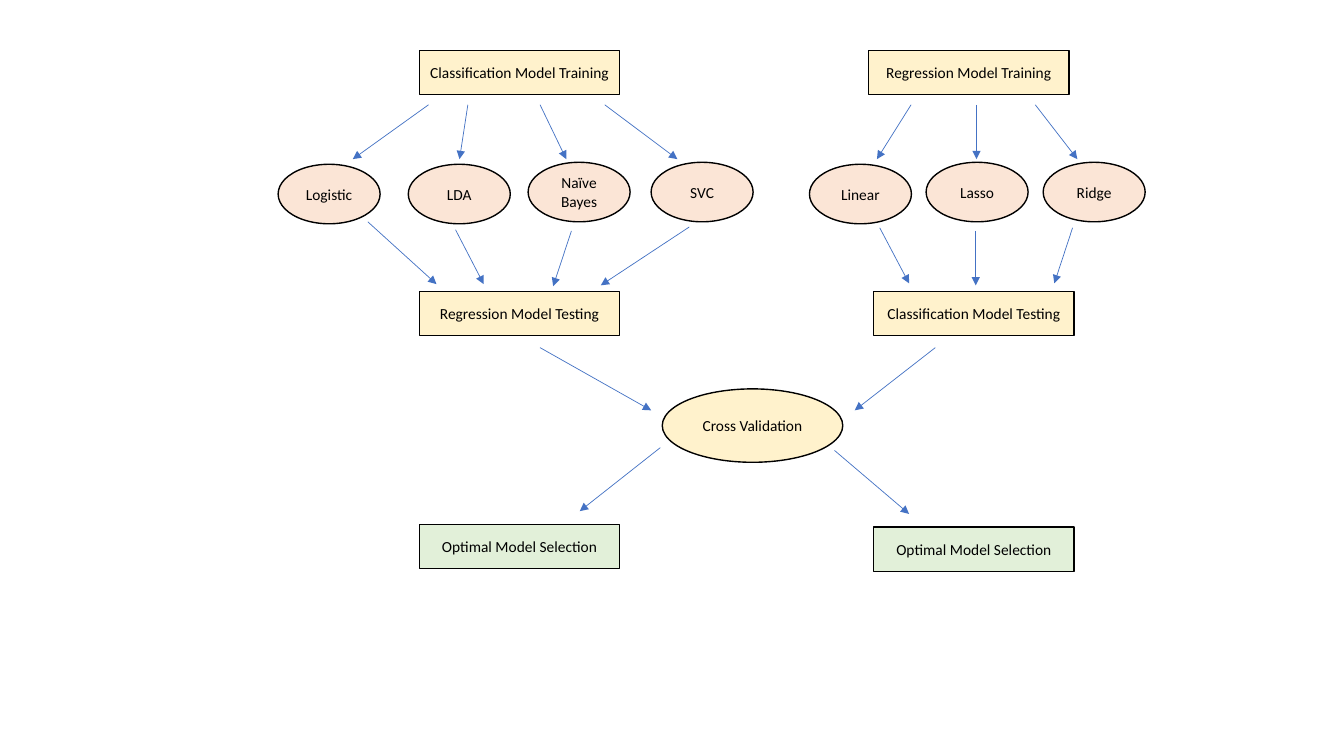
from lxml.etree import SubElement
from pptx import Presentation
from pptx.dml.color import RGBColor
from pptx.enum.shapes import MSO_CONNECTOR, MSO_SHAPE
from pptx.enum.text import MSO_ANCHOR, PP_ALIGN
from pptx.oxml.ns import qn
from pptx.util import Cm, Pt

CREAM, PEACH, GREEN = "FFF2CC", "FBE5D6", "E2F0D9"
BLACK, BLUE = "000000", "4472C4"


def color(hex_value):
    return RGBColor.from_string(hex_value)


class FlowSlide:
    """Holds the text style and the slide being drawn; lengths are in cm."""

    font_format = {"name": "Calibri", "size": Pt(11)}
    frame_format = {
        "word_wrap": True,
        "vertical_anchor": MSO_ANCHOR.MIDDLE,
        "margin_left": Cm(0.2),
        "margin_right": Cm(0.2),
    }

    def __init__(self, slide):
        self.shapes = slide.shapes

    def node(self, kind, text, fill, left, top, width, height):
        shape = self.shapes.add_shape(kind, Cm(left), Cm(top), Cm(width), Cm(height))
        shape.shadow.inherit = False
        shape.fill.solid()
        shape.fill.fore_color.rgb = color(fill)
        shape.line.color.rgb = color(BLACK)
        shape.line.width = Pt(1)
        frame = shape.text_frame
        for key, value in self.frame_format.items():
            setattr(frame, key, value)
        paragraph = frame.paragraphs[0]
        paragraph.alignment = PP_ALIGN.CENTER
        run = paragraph.add_run()
        run.text = text
        for key, value in self.font_format.items():
            setattr(run.font, key, value)
        run.font.color.rgb = color(BLACK)

    def step(self, text, fill, left, top):
        self.node(MSO_SHAPE.RECTANGLE, text, fill, left, top, 5.05, 1.12)

    def model(self, text, left, top):
        self.node(MSO_SHAPE.OVAL, text, PEACH, left, top, 2.57, 1.5)

    def arrow(self, start, end):
        ends = [Cm(length) for length in (*start, *end)]
        connector = self.shapes.add_connector(MSO_CONNECTOR.STRAIGHT, *ends)
        connector.line.color.rgb = color(BLUE)
        connector.line.width = Pt(0.5)
        SubElement(connector.line._get_or_add_ln(), qn("a:tailEnd"), type="triangle")
        SubElement(connector._element.spPr, qn("a:effectLst"))


def main():
    presentation = Presentation()
    presentation.slide_width = Cm(33.87)
    presentation.slide_height = Cm(19.05)
    flow = FlowSlide(presentation.slides.add_slide(presentation.slide_layouts[6]))

    # Training, testing and selection steps
    steps = [
        ("Classification Model Training", CREAM, 10.57, 1.27),
        ("Regression Model Training", CREAM, 21.89, 1.27),
        ("Regression Model Testing", CREAM, 10.57, 7.34),
        ("Classification Model Testing", CREAM, 22.02, 7.34),
        ("Optimal Model Selection", GREEN, 10.57, 13.21),
        ("Optimal Model Selection", GREEN, 22.02, 13.28),
    ]
    for step in steps:
        flow.step(*step)
    flow.node(MSO_SHAPE.OVAL, "Cross Validation", CREAM, 16.69, 9.8, 4.55, 1.85)

    # Models: name, left, top, x of the training arrow's ends, testing arrow's ends
    training_bottom, models_top = 2.64, 4.01
    models = [
        ("Logistic", 7.01, 4.14, (10.8, 8.89), (9.27, 5.59), (11, 7.16)),
        ("LDA", 10.29, 4.14, (11.79, 11.58), (11.48, 5.79), (12.19, 7.16)),
        ("Naïve Bayes", 13.31, 4.09, (13.61, 14.27), (14.4, 5.82), (13.94, 7.21)),
        ("SVC", 16.41, 4.09, (15.24, 17.07), (17.37, 5.72), (15.14, 7.19)),
        ("Linear", 20.4, 4.14, (22.96, 22.1), (22.17, 5.74), (22.91, 7.14)),
        ("Lasso", 23.34, 4.09, (24.61, 24.61), (24.59, 5.82), (24.59, 7.19)),
        ("Ridge", 26.29, 4.09, (26.09, 27.15), (27.03, 5.74), (26.57, 7.14)),
    ]
    for name, left, top, (from_x, to_x), test_start, test_end in models:
        flow.model(name, left, top)
        flow.arrow((from_x, training_bottom), (to_x, models_top))
        flow.arrow(test_start, test_end)

    # Arrows into and out of cross validation
    validation_arrows = [
        ((13.61, 8.76), (16.41, 10.34)),
        ((23.57, 8.76), (21.54, 10.34)),
        ((16.64, 11.28), (14.61, 12.88)),
        ((21.03, 11.35), (22.91, 12.95)),
    ]
    for start, end in validation_arrows:
        flow.arrow(start, end)

    presentation.save("out.pptx")


if __name__ == "__main__":
    main()
